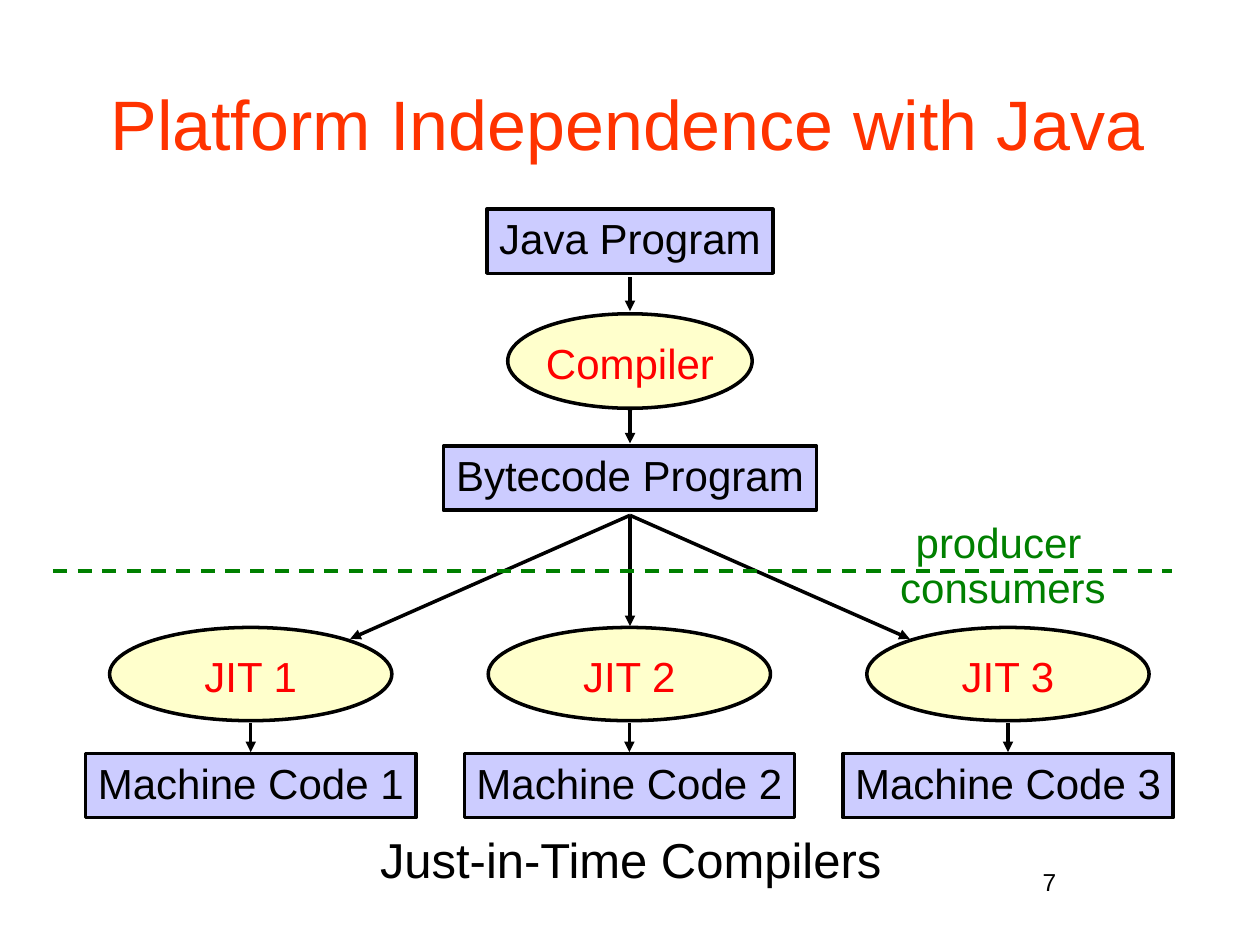
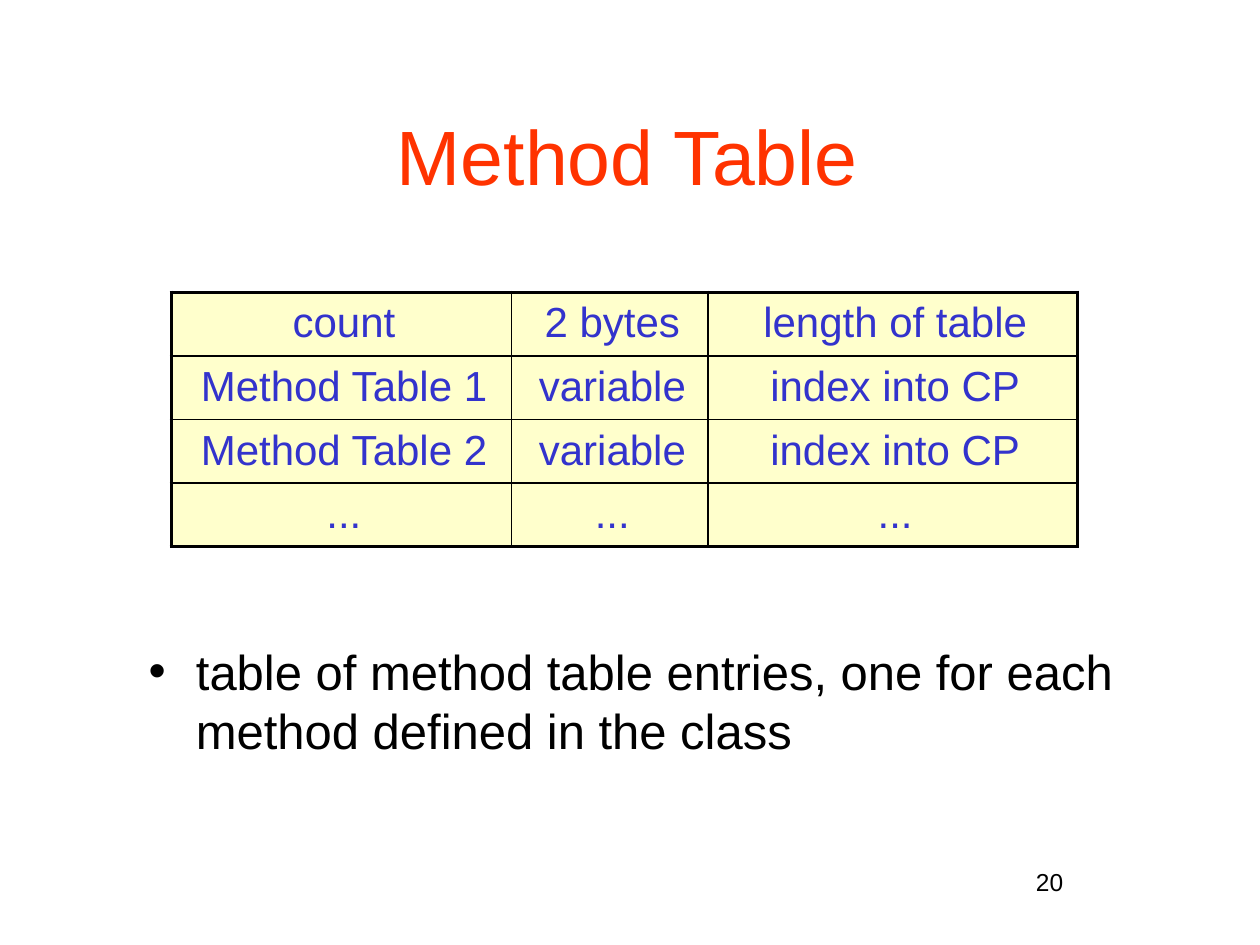
from dataclasses import dataclass

from lxml import etree
from pptx import Presentation
from pptx.dml.color import RGBColor
from pptx.enum.dml import MSO_LINE
from pptx.enum.shapes import MSO_CONNECTOR, MSO_SHAPE
from pptx.enum.text import MSO_ANCHOR, MSO_AUTO_SIZE, PP_ALIGN
from pptx.oxml.ns import qn
from pptx.util import Emu, Inches, Pt

SLIDE_W, SLIDE_H = Inches(10), Inches(7.5)
COL, ROW = SLIDE_W // 100, SLIDE_H // 75
FONT = "Arial"
COLORS = {
    "ink": "000000",
    "title": "FF3300",
    "program": "CCCCFF",
    "tool": "FFFFCC",
    "tool_text": "FF0000",
    "divider": "008000",
    "entry": "3333CC",
}
RECT, OVAL = MSO_SHAPE.RECTANGLE, MSO_SHAPE.OVAL
STRAIGHT, DASH = MSO_CONNECTOR.STRAIGHT, MSO_LINE.DASH
TOP, MIDDLE = MSO_ANCHOR.TOP, MSO_ANCHOR.MIDDLE
LEFT, CENTER = PP_ALIGN.LEFT, PP_ALIGN.CENTER
NO_FIT = MSO_AUTO_SIZE.NONE
TITLE_ONLY, TITLE_AND_BODY = 5, 1

METHOD_ENTRIES = [
    ("count", "2 bytes", "length of table"),
    ("Method Table 1", "variable", "index into CP"),
    ("Method Table 2", "variable", "index into CP"),
    ("...", "...", "..."),
]


@dataclass
class Box:
    """An area in grid columns and rows."""

    left: float
    top: float
    width: float
    height: float

    def area(self, left, top, width, height):
        """Return an area placed relative to this one."""
        return Box(self.left + left, self.top + top, width, height)

    def point(self, x, y):
        """Return a grid point placed relative to this area."""
        return self.left + x, self.top + y

    def lengths(self):
        """Return left, top, width and height as slide lengths."""
        return (Emu(round(self.left * COL)), Emu(round(self.top * ROW)),
                Emu(round(self.width * COL)), Emu(round(self.height * ROW)))


def rgb(name):
    """Look up a named colour."""
    return RGBColor.from_string(COLORS[name])


def style(paragraph, size, color, align=CENTER):
    """Format a whole paragraph."""
    paragraph.alignment = align
    paragraph.font.name = FONT
    paragraph.font.size = Pt(size)
    paragraph.font.color.rgb = rgb(color)


def write(shape, text, size, color, anchor=TOP, insets=(0, 0.03, 0, 0),
          wrap=False, align=CENTER):
    """Fill a shape with one formatted paragraph."""
    frame = shape.text_frame
    frame.text = text
    frame.word_wrap = wrap
    frame.auto_size = NO_FIT
    frame.vertical_anchor = anchor
    (frame.margin_left, frame.margin_top,
     frame.margin_right, frame.margin_bottom) = map(Inches, insets)
    style(frame.paragraphs[0], size, color, align)


def move(shape, box):
    """Place a shape on the given area."""
    shape.left, shape.top, shape.width, shape.height = box.lengths()


def add_label(slide, box, text, size, color):
    """Add a centred line of text."""
    write(slide.shapes.add_textbox(*box.lengths()), text, size, color)


def add_node(slide, box, kind, text, fill, color, anchor):
    """Add an outlined diagram node."""
    node = slide.shapes.add_shape(kind, *box.lengths())
    node.shadow.inherit = False
    node.fill.solid()
    node.fill.fore_color.rgb = rgb(fill)
    node.line.color.rgb = rgb("ink")
    node.line.width = Pt(2)
    write(node, text, 24, color, anchor)


def add_program(slide, box, text):
    """Add a rectangle for a program or its code."""
    add_node(slide, box, RECT, text, "program", "ink", TOP)


def add_tool(slide, box, text):
    """Add an ellipse for a compiler."""
    add_node(slide, box, OVAL, text, "tool", "tool_text", MIDDLE)


def add_line(slide, start, end, color="ink"):
    """Add a straight line between two grid points."""
    (x1, y1), (x2, y2) = start, end
    ends = [Emu(round(n)) for n in (x1 * COL, y1 * ROW, x2 * COL, y2 * ROW)]
    line = slide.shapes.add_connector(STRAIGHT, *ends)
    line.line.color.rgb = rgb(color)
    line.line.width = Pt(2)
    etree.SubElement(line._element.spPr, qn("a:effectLst"))
    return line


def add_arrow(slide, start, end):
    """Add a line with an arrowhead at its end."""
    arrow = add_line(slide, start, end)
    outline = arrow._element.spPr.find(qn("a:ln"))
    etree.SubElement(outline, qn("a:tailEnd"), type="triangle")


def start_slide(deck, layout, title, size, box, number):
    """Add a slide with its title and number."""
    slide = deck.slides.add_slide(deck.slide_layouts[layout])
    move(slide.shapes.title, box)
    write(slide.shapes.title, title, size, "title", MIDDLE,
          (0.1, 0.06, 0.14, 0.06), wrap=True)
    number_box = slide.shapes.add_textbox(*Box(81.6, 68.3, 3.4, 3.3).lengths())
    write(number_box, number, 14, "ink", insets=(0, 0.05, 0, 0.05))
    return slide


def producer_side(slide, box):
    """Draw the chain from source program to bytecode."""
    middle = box.width / 2
    add_program(slide, box.area(middle - 11.35, 0, 22.7, 5.1), "Java Program")
    add_tool(slide, box.area(middle - 9.7, 8.3, 19.4, 7.5), "Compiler")
    add_program(slide, box.area(0, 18.8, box.width, 5.1), "Bytecode Program")
    for top in (5.4, 15.9):
        add_arrow(slide, box.point(middle, top), box.point(middle, top + 2.7))


def consumer_side(slide, box):
    """Draw one just-in-time compiler and its output per column."""
    code_width, tool_width = 26.2, 22.4
    pitch = (box.width - code_width) / 2
    middle = code_width / 2
    for index in range(3):
        column = box.area(index * pitch, 0, code_width, box.height)
        add_tool(slide, column.area(middle - tool_width / 2, 0, tool_width, 7.4),
                 f"JIT {index + 1}")
        add_program(slide, column.area(0, 10, code_width, 5.1),
                    f"Machine Code {index + 1}")
        add_arrow(slide, column.point(middle, 7.6), column.point(middle, 9.9))
    add_label(slide, box.area(22.5, 15.7, 41.5, 5.4),
              "Just-in-Time Compilers", 28, "ink")


def bytecode_fan(slide, box):
    """Draw the arrows from bytecode to each compiler."""
    middle = box.width / 2
    for x, y in ((0, box.height), (middle, box.height - 1), (box.width, box.height)):
        add_arrow(slide, box.point(middle, 0), box.point(x, y))


def divider(slide, box):
    """Draw the dashed border between producer and consumers."""
    border = add_line(slide, box.point(0, 4.6), box.point(box.width, 4.6), "divider")
    border.line.dash_style = DASH
    add_label(slide, box.area(67.6, 0, 14.9, 4.9), "producer", 24, "divider")
    add_label(slide, box.area(66.4, 3.6, 18, 4.9), "consumers", 24, "divider")


def add_borders(cell, widths):
    """Draw a cell's left, right, top and bottom borders."""
    properties = cell._tc.get_or_add_tcPr()
    for side, width in zip("LRTB", widths):
        border = etree.SubElement(properties, qn(f"a:ln{side}"), w=str(Pt(width)))
        paint = etree.SubElement(border, qn("a:solidFill"))
        etree.SubElement(paint, qn("a:srgbClr"), val=COLORS["ink"])


def method_table(slide, box):
    """Draw the method table with a heavier outer frame."""
    last_row, last_col = len(METHOD_ENTRIES) - 1, len(METHOD_ENTRIES[0]) - 1
    table = slide.shapes.add_table(last_row + 1, last_col + 1, *box.lengths()).table
    table.first_row = table.horz_banding = False
    for column, width in zip(table.columns, (27, 15.6, 29.3)):
        column.width = Emu(round(width * COL))
    for r, entry in enumerate(METHOD_ENTRIES):
        for c, text in enumerate(entry):
            cell = table.cell(r, c)
            outer = (c == 0, c == last_col, r == 0, r == last_row)
            add_borders(cell, [2.25 if edge else 1 for edge in outer])
            cell.fill.solid()
            cell.fill.fore_color.rgb = rgb("tool")
            cell.margin_left = Inches(0.1)
            cell.margin_right = cell.margin_top = cell.margin_bottom = Inches(0.06)
            cell.text = text
            style(cell.text_frame.paragraphs[0], 24, "entry")


def bullet_note(slide, box):
    """Put the bulleted remark in the body placeholder."""
    body = slide.placeholders[1]
    move(body, box)
    paragraph = body.text_frame.paragraphs[0]
    properties = paragraph._p.get_or_add_pPr()
    properties.set("marL", str(Inches(0.29)))
    properties.set("indent", str(Inches(-0.25)))
    etree.SubElement(properties, qn("a:buChar"), char="•")
    paragraph.space_before = Pt(0)
    write(body, "table of method table entries, one for each method defined in the class",
          28, "ink", insets=(0, 0.03, 0.04, 0), wrap=True, align=LEFT)


def platform_slide(deck):
    """Build the compilation diagram slide."""
    slide = start_slide(deck, TITLE_ONLY, "Platform Independence with Java", 40,
                        Box(7.5, 0, 85, 19.4), "7")
    producer_side(slide, Box(35.2, 16.6, 29.6, 23.9))
    consumer_side(slide, Box(6.8, 49.8, 86.3, 21.1))
    bytecode_fan(slide, Box(27.8, 40.9, 44.4, 9.8))
    divider(slide, Box(4.2, 40.7, 88.8, 8.5))


def method_slide(deck):
    """Build the method table slide."""
    slide = start_slide(deck, TITLE_AND_BODY, "Method Table", 44,
                        Box(7.5, 2.9, 85, 18.8), "20")
    method_table(slide, Box(13.6, 23.2, 71.9, 20.2))
    bullet_note(slide, Box(11.8, 50.6, 77.5, 9.9))


def main():
    """Build and save the deck."""
    deck = Presentation()
    deck.slide_width, deck.slide_height = SLIDE_W, SLIDE_H
    platform_slide(deck)
    method_slide(deck)
    deck.save("out.pptx")


if __name__ == "__main__":
    main()
